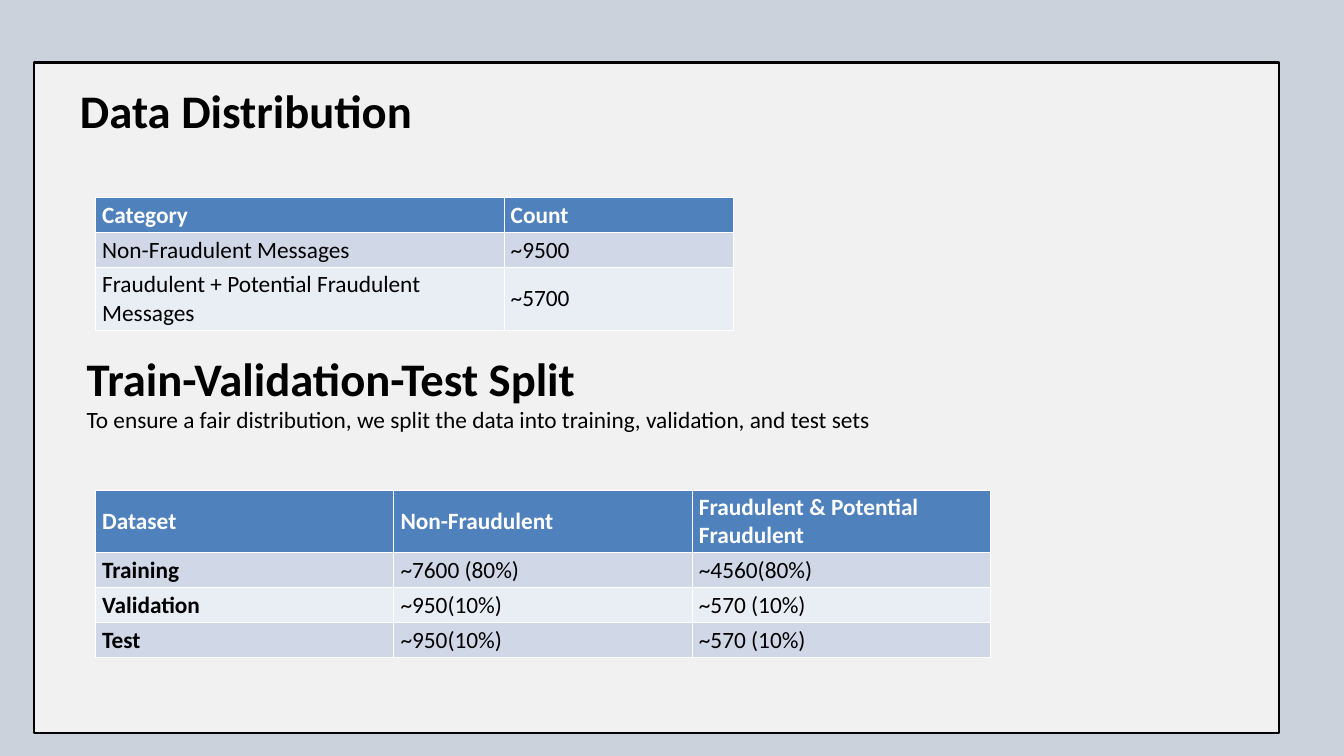
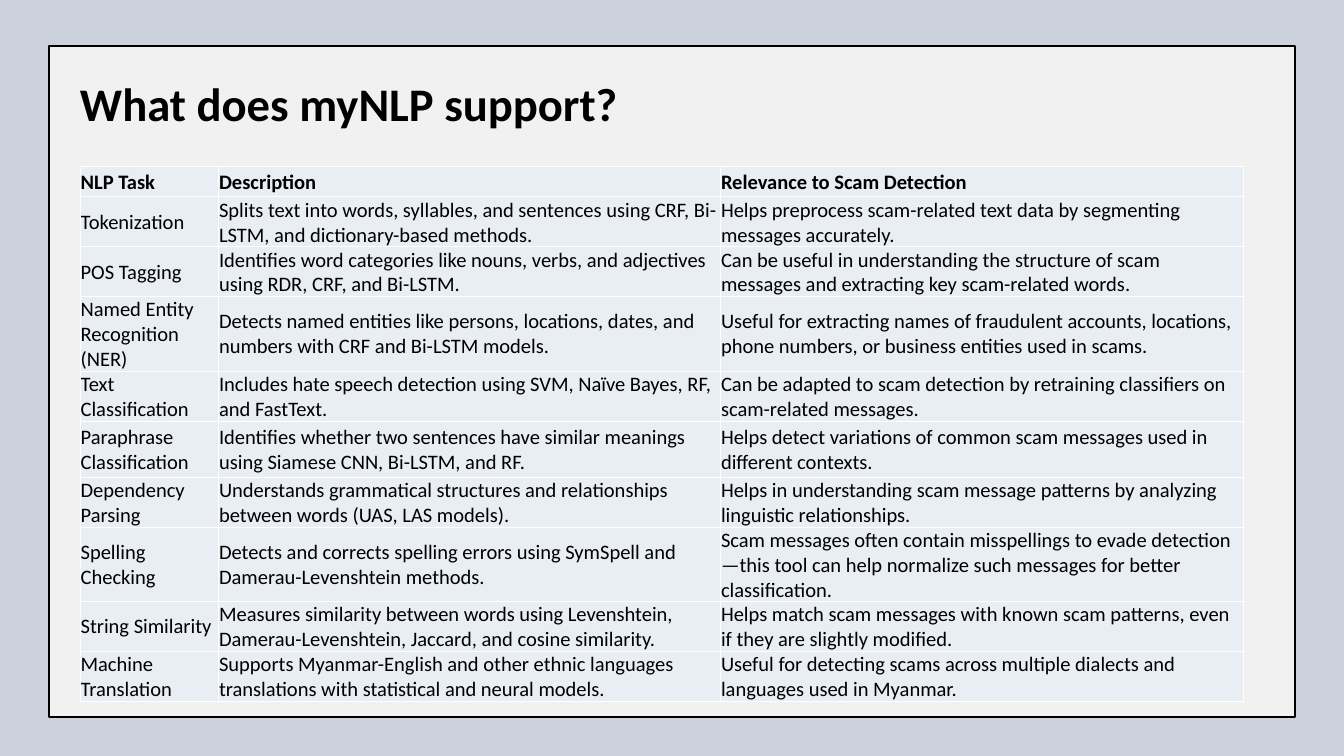
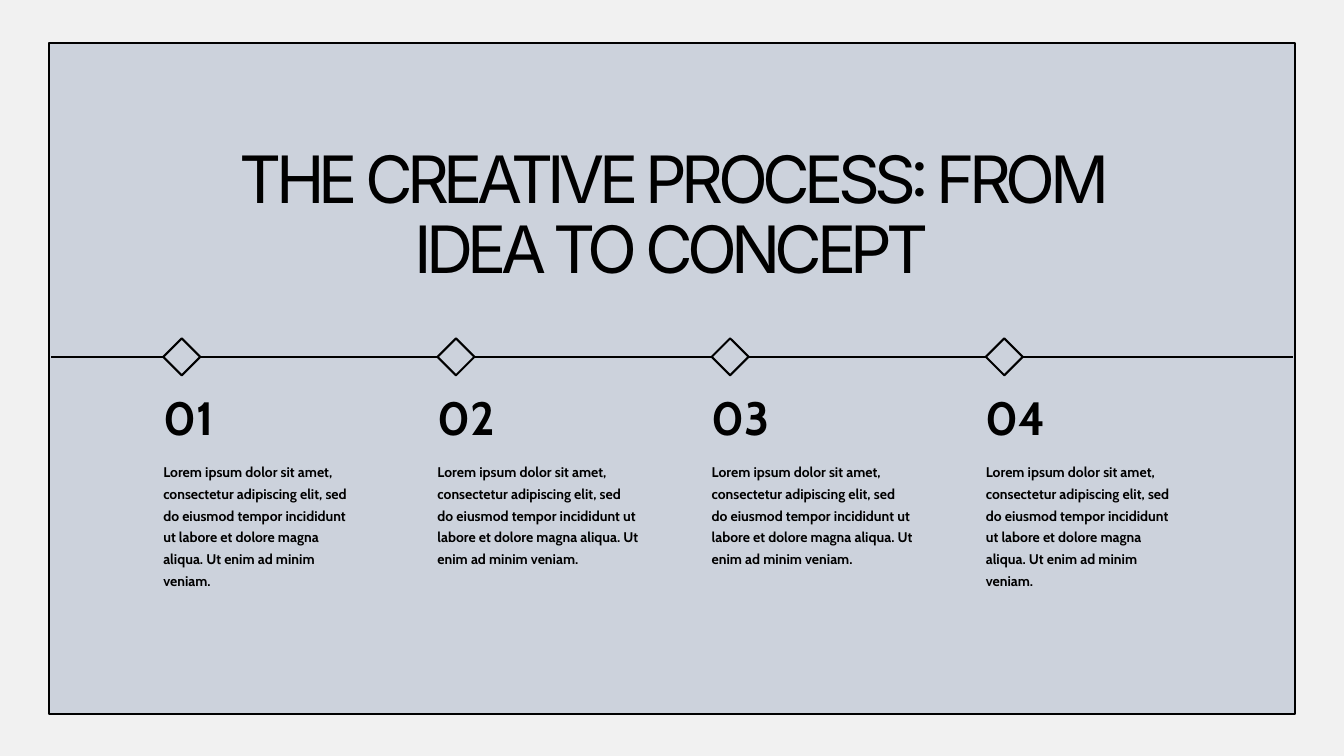
"""Build three slides on scam-message data, myNLP tasks and the creative process."""
import dataclasses
import typing

import pptx
import pptx.dml.color
import pptx.enum.shapes
import pptx.enum.text
import pptx.oxml
import pptx.util

Inches = pptx.util.Inches
RGBColor = pptx.dml.color.RGBColor
Shapes = pptx.enum.shapes.MSO_SHAPE

MIST = RGBColor(0xCC, 0xD2, 0xDC)
PAPER = RGBColor(0xF1, 0xF1, 0xF1)
BLACK = RGBColor(0, 0, 0)
WHITE = RGBColor(0xFF, 0xFF, 0xFF)
HEADER_BLUE = RGBColor(0x4F, 0x81, 0xBD)
BAND_DARK = RGBColor(0xD0, 0xD8, 0xE8)
BAND_LIGHT = RGBColor(0xE9, 0xED, 0xF4)

LOREM = (
    "Lorem ipsum dolor sit amet, consectetur adipiscing elit, sed do eiusmod tempor "
    "incididunt ut labore et dolore magna aliqua. Ut enim ad minim veniam."
)


@dataclasses.dataclass(frozen=True)
class Box:
    """A place on the slide, in inches."""

    left: float
    top: float
    width: float
    height: float

    def lengths(self) -> tuple:
        """Return the four measures as lengths."""
        return tuple(Inches(side) for side in dataclasses.astuple(self))


@dataclasses.dataclass(frozen=True)
class Grid:
    """The contents and look of one table."""

    left: float
    top: float
    columns: list[float]
    heights: list[float]
    rows: list[tuple[str, ...]]
    size: float = 25
    banded: bool = True
    bold_labels: bool = False
    margin: typing.Optional[float] = None


@dataclasses.dataclass(frozen=True)
class Step:
    """One stop on the process timeline."""

    number: str
    body_width: float


CATEGORY_COUNTS = Grid(
    left=1.42, top=2.94, columns=[6.08, 3.42], heights=[0.52, 0.52, 0.93],
    rows=[
        ("Category", "Count"),
        ("Non-Fraudulent Messages", "~9500"),
        ("Fraudulent + Potential Fraudulent Messages", "~5700"),
    ],
)

DATA_SPLIT = Grid(
    left=1.42, top=7.29, columns=[4.44] * 3, heights=[0.93] + [0.52] * 3, bold_labels=True,
    rows=[
        ("Dataset", "Non-Fraudulent", "Fraudulent & Potential Fraudulent"),
        ("Training", "~7600 (80%)", "~4560(80%)"),
        ("Validation", "~950(10%)", "~570 (10%)"),
        ("Test", "~950(10%)", "~570 (10%)"),
    ],
)

NLP_TASKS = Grid(
    left=1.19, top=2.48, columns=[2.06, 7.47, 7.78], size=22, banded=False, margin=0.01,
    heights=[0.45, 0.74, 0.74, 1.1, 0.74, 0.83, 0.74, 1.1, 0.74, 0.74],
    rows=[
        ("NLP Task", "Description", "Relevance to Scam Detection"),
        ("Tokenization",
         "Splits text into words, syllables, and sentences using CRF, Bi-LSTM, "
         "and dictionary-based methods.",
         "Helps preprocess scam-related text data by segmenting messages accurately."),
        ("POS Tagging",
         "Identifies word categories like nouns, verbs, and adjectives using RDR, CRF, "
         "and Bi-LSTM.",
         "Can be useful in understanding the structure of scam messages and extracting "
         "key scam-related words."),
        ("Named Entity Recognition (NER)",
         "Detects named entities like persons, locations, dates, and numbers with CRF "
         "and Bi-LSTM models.",
         "Useful for extracting names of fraudulent accounts, locations, phone numbers, "
         "or business entities used in scams."),
        ("Text Classification",
         "Includes hate speech detection using SVM, Naïve Bayes, RF, and FastText.",
         "Can be adapted to scam detection by retraining classifiers on scam-related messages."),
        ("Paraphrase Classification",
         "Identifies whether two sentences have similar meanings using Siamese CNN, "
         "Bi-LSTM, and RF.",
         "Helps detect variations of common scam messages used in different contexts."),
        ("Dependency Parsing",
         "Understands grammatical structures and relationships between words "
         "(UAS, LAS models).",
         "Helps in understanding scam message patterns by analyzing linguistic relationships."),
        ("Spelling Checking",
         "Detects and corrects spelling errors using SymSpell and Damerau-Levenshtein methods.",
         "Scam messages often contain misspellings to evade detection—this tool can help "
         "normalize such messages for better classification."),
        ("String Similarity",
         "Measures similarity between words using Levenshtein, Damerau-Levenshtein, "
         "Jaccard, and cosine similarity.",
         "Helps match scam messages with known scam patterns, even if they are slightly "
         "modified."),
        ("Machine Translation",
         "Supports Myanmar-English and other ethnic languages translations with "
         "statistical and neural models.",
         "Useful for detecting scams across multiple dialects and languages used in Myanmar."),
    ],
)

STEPS = [Step("01", 2.89), Step("02", 2.99), Step("03", 3.01), Step("04", 2.89)]
FIRST_STEP_LEFT = 2.43
STEP_PITCH = 4.08
TIMELINE_Y = 5.31
DIAMOND_SIDE = 0.55


def write(paragraph, text: str, *, size: float, font: str = "Calibri", bold: bool = False,
          color: RGBColor = BLACK, line_pt: typing.Optional[float] = None,
          centered: bool = False, tracking_pt: float = 0) -> None:
    """Add text to a paragraph in the given format."""
    run = paragraph.add_run()
    run.text = text
    run.font.size = pptx.util.Pt(size)
    run.font.name = font
    run.font.bold = bold
    run.font.color.rgb = color
    if line_pt:
        paragraph.line_spacing = pptx.util.Pt(line_pt)
    if centered:
        paragraph.alignment = pptx.enum.text.PP_ALIGN.CENTER
    if tracking_pt:
        run.font._element.set("spc", str(int(tracking_pt * 100)))


def add_text_frame(slide, box: Box, inset: bool = False):
    """Add a wrapping text box and return its frame."""
    frame = slide.shapes.add_textbox(*box.lengths()).text_frame
    frame.word_wrap = True
    if not inset:
        frame.margin_left = frame.margin_right = frame.margin_top = frame.margin_bottom = 0
    return frame


def add_label(slide, box: Box, text: str, **text_format) -> None:
    """Add a text box holding one paragraph."""
    write(add_text_frame(slide, box).paragraphs[0], text, **text_format)


def add_outlined(slide, kind, box: Box, fill: RGBColor) -> None:
    """Add a filled shape with the shared black outline."""
    shape = slide.shapes.add_shape(kind, *box.lengths())
    shape.shadow.inherit = False
    shape.fill.solid()
    shape.fill.fore_color.rgb = fill
    shape.line.color.rgb = BLACK
    shape.line.width = pptx.util.Pt(2.25)


def add_panel_slide(deck, left: float, top: float, background: RGBColor = MIST,
                    panel: RGBColor = PAPER):
    """Add a slide with a background and an outlined panel."""
    slide = deck.slides.add_slide(deck.slide_layouts[6])
    slide.background.fill.solid()
    slide.background.fill.fore_color.rgb = background
    add_outlined(slide, Shapes.RECTANGLE, Box(left, top, 18.54, 9.98), panel)
    return slide


def add_title(slide, top: float, text: str) -> None:
    """Add a bold slide title."""
    add_label(slide, Box(1.19, top, 18.08, 0.84), text, size=50, bold=True)


def add_grid(slide, grid: Grid) -> None:
    """Add a table with its fills and text."""
    box = Box(grid.left, grid.top, sum(grid.columns), sum(grid.heights))
    table = slide.shapes.add_table(len(grid.rows), len(grid.columns), *box.lengths()).table
    table.first_row = table.horz_banding = grid.banded
    for column, width in zip(table.columns, grid.columns):
        column.width = Inches(width)
    for index, (row, height, texts) in enumerate(zip(table.rows, grid.heights, grid.rows)):
        row.height = Inches(height)
        is_header = index == 0
        fill, color = BAND_LIGHT, BLACK
        if grid.banded and is_header:
            fill, color = HEADER_BLUE, WHITE
        elif grid.banded and index % 2:
            fill = BAND_DARK
        for position, (cell, text) in enumerate(zip(row.cells, texts)):
            cell.fill.solid()
            cell.fill.fore_color.rgb = fill
            cell.vertical_anchor = pptx.enum.text.MSO_ANCHOR.MIDDLE
            if grid.margin is not None:
                cell.margin_left = cell.margin_right = cell.margin_top = Inches(grid.margin)
                cell.margin_bottom = 0
            bold = is_header or (grid.bold_labels and position == 0)
            write(cell.text_frame.paragraphs[0], text, size=grid.size, bold=bold, color=color)


def add_timeline(slide) -> None:
    """Add the horizontal line that carries the steps."""
    y = Inches(TIMELINE_Y)
    timeline = slide.shapes.add_connector(
        pptx.enum.shapes.MSO_CONNECTOR.STRAIGHT, Inches(0.76), y, Inches(19.24), y)
    timeline.line.color.rgb = BLACK
    timeline.line.width = pptx.util.Pt(2.25)
    properties = timeline._element.spPr
    properties.append(pptx.oxml.parse_xml(
        '<a:effectLst xmlns:a="http://schemas.openxmlformats.org/drawingml/2006/main"/>'))


def add_step(slide, step: Step, left: float) -> None:
    """Add one diamond with its number and description."""
    diamond = Box(left, TIMELINE_Y - DIAMOND_SIDE / 2, DIAMOND_SIDE, DIAMOND_SIDE)
    add_outlined(slide, Shapes.DIAMOND, diamond, MIST)
    add_label(slide, Box(left, 5.91, 2.4, 0.74), step.number,
              size=50, font="Cabin", bold=True, line_pt=51.5)
    add_label(slide, Box(left, 6.82, step.body_width, 1.93), LOREM,
              size=15, font="Cabin", bold=True, line_pt=23.4)


def build_data_slide(deck) -> None:
    """Build the slide on data distribution and split."""
    slide = add_panel_slide(deck, 0.5, 0.93)
    add_title(slide, 1.22, "Data Distribution")
    add_grid(slide, CATEGORY_COUNTS)
    add_grid(slide, DATA_SPLIT)
    split = add_text_frame(slide, Box(1.19, 5.15, 12.39, 1.36), inset=True)
    write(split.paragraphs[0], "Train-Validation-Test Split", size=50, bold=True)
    write(split.add_paragraph(),
          "To ensure a fair distribution, we split the data into training, validation, "
          "and test sets", size=25)


def build_tasks_slide(deck) -> None:
    """Build the slide on supported language tasks."""
    slide = add_panel_slide(deck, 0.73, 0.69)
    add_grid(slide, NLP_TASKS)
    add_title(slide, 1.12, "What does myNLP support?")


def build_process_slide(deck) -> None:
    """Build the slide with the four-step timeline."""
    slide = add_panel_slide(deck, 0.73, 0.64, background=PAPER, panel=MIST)
    add_label(slide, Box(3.11, 2.17, 13.77, 2.12),
              "THE CREATIVE PROCESS: FROM IDEA TO CONCEPT",
              size=70, font="Inter", line_pt=75.6, centered=True, tracking_pt=-6)
    add_timeline(slide)
    for index, step in enumerate(STEPS):
        add_step(slide, step, FIRST_STEP_LEFT + index * STEP_PITCH)


def main() -> None:
    """Build and save the deck."""
    deck = pptx.Presentation()
    deck.slide_width = Inches(20)
    deck.slide_height = Inches(11.25)
    build_data_slide(deck)
    build_tasks_slide(deck)
    build_process_slide(deck)
    deck.save("out.pptx")


if __name__ == "__main__":
    main()
